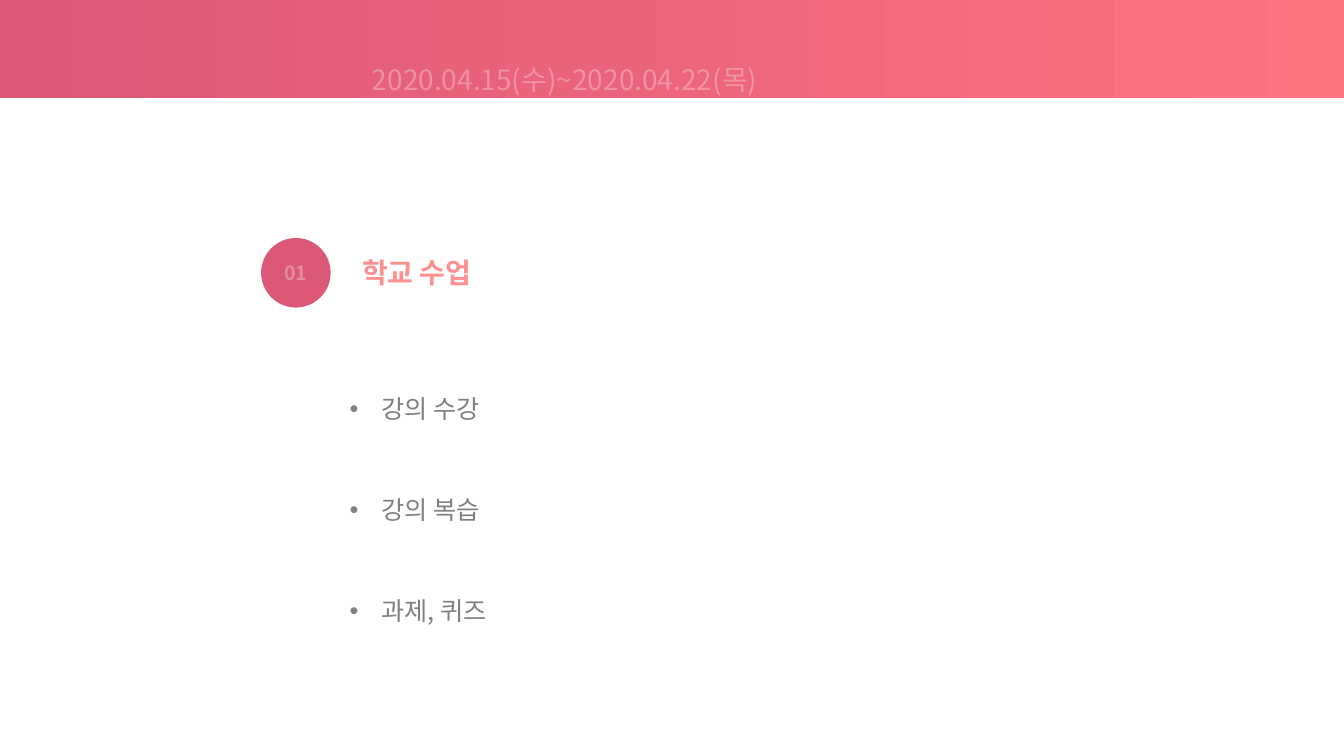
import pptx
import pptx.dml.color
import pptx.enum.shapes
import pptx.enum.text
import pptx.oxml
import pptx.oxml.ns
import pptx.util
from lxml import etree

Pt = pptx.util.Pt
ALIGN = pptx.enum.text.PP_ALIGN
ANCHOR = pptx.enum.text.MSO_ANCHOR
SHAPE = pptx.enum.shapes.MSO_SHAPE

FONT = "Noto Sans CJK KR"
ROSE = "DB5877"
WHITE = "FFFFFF"
GREY = "808080"
BAND_STOPS = [(0, ROSE), (43, "EA637C"), (100, "FE7282")]
HEADING_STOPS = [(0, "FF908F"), (63, ROSE)]
LINEAR = '<a:lin ang="0" scaled="1"/>'
CIRCULAR = '<a:path path="circle"><a:fillToRect r="100000" b="100000"/></a:path>'


def color(hex_string):
    return pptx.dml.color.RGBColor.from_string(hex_string)


def drawing_element(tag, content, attributes=""):
    namespace = pptx.oxml.ns.nsdecls("a")
    return pptx.oxml.parse_xml(f"<a:{tag} {namespace} {attributes}>{content}</a:{tag}>")


def solid_fill(hex_string, opacity):
    return (f'<a:solidFill><a:srgbClr val="{hex_string}">'
            f'<a:alpha val="{opacity * 1000}"/></a:srgbClr></a:solidFill>')


def replace_with_gradient(fill_owner, stops, direction):
    """Swap the solid fill of a shape or run for a gradient."""
    stop_list = "".join(f'<a:gs pos="{position * 1000}"><a:srgbClr val="{value}"/></a:gs>'
                        for position, value in stops)
    gradient = drawing_element("gradFill", f"<a:gsLst>{stop_list}</a:gsLst>{direction}")
    solid = fill_owner.find(pptx.oxml.ns.qn("a:solidFill"))
    fill_owner.replace(solid, gradient)


def write_text(paragraph, text, size, fill=WHITE, bold=False, align=None, spacing=None,
               opacity=100, outline=None, gradient=None):
    paragraph.alignment = align
    paragraph.line_spacing = spacing
    run = paragraph.add_run()
    run.text = text
    run.font.name = FONT
    run.font.size = Pt(size)
    run.font.bold = bold
    run.font.fill.solid()
    run.font.fill.fore_color.rgb = color(fill)
    properties = run.font._element
    if opacity < 100:
        solid_color = properties.find(".//" + pptx.oxml.ns.qn("a:srgbClr"))
        solid_color.append(drawing_element("alpha", "", f'val="{opacity * 1000}"'))
    if gradient:
        replace_with_gradient(properties, gradient, CIRCULAR)
    if outline:
        properties.insert(0, drawing_element("ln", solid_fill(outline, 30), 'w="9525"'))
    latin = properties.find(pptx.oxml.ns.qn("a:latin"))
    latin.addnext(drawing_element("ea", "", f'typeface="{FONT}"'))


def add_filled_shape(slide, kind, left, top, width, height, fill):
    shape = slide.shapes.add_shape(kind, Pt(left), Pt(top), Pt(width), Pt(height))
    shape.shadow.inherit = False
    shape.fill.solid()
    shape.fill.fore_color.rgb = color(fill)
    shape.line.fill.background()
    return shape


def add_header(slide, left, top, width, height):
    band = add_filled_shape(slide, SHAPE.RECTANGLE, left, top, width, height, ROSE)
    replace_with_gradient(band.element.spPr, BAND_STOPS, LINEAR)
    title = slide.shapes.title
    band.element.addnext(title.element)
    title.left, title.top = Pt(left + 258.5), Pt(top + 38)
    title.width, title.height = Pt(443.5), Pt(32.4)
    frame = title.text_frame
    frame.word_wrap = True
    frame.auto_size = pptx.enum.text.MSO_AUTO_SIZE.SHAPE_TO_FIT_TEXT
    frame.vertical_anchor = ANCHOR.TOP
    write_text(frame.paragraphs[0], "2020.04.15(수)~2020.04.22(목)", 20,
               align=ALIGN.JUSTIFY, spacing=1.2, opacity=30, outline=WHITE)


def add_section_heading(slide, left, top, diameter, number, text):
    badge = add_filled_shape(slide, SHAPE.OVAL, left, top, diameter, diameter, ROSE)
    badge.text_frame.vertical_anchor = ANCHOR.MIDDLE
    write_text(badge.text_frame.paragraphs[0], number, 14, bold=True,
               align=ALIGN.CENTER, opacity=30, outline=WHITE)
    heading = slide.shapes.add_textbox(Pt(left + 57), Pt(top + 8.6), Pt(108.5), Pt(31.5))
    heading.text_frame.word_wrap = True
    write_text(heading.text_frame.paragraphs[0], text, 20, bold=True,
               align=ALIGN.CENTER, outline=ROSE, gradient=HEADING_STOPS)


def add_task_list(slide, left, top, width, height, tasks):
    frame = slide.shapes.add_textbox(Pt(left), Pt(top), Pt(width), Pt(height)).text_frame
    frame.word_wrap = True
    frame.vertical_anchor = ANCHOR.BOTTOM
    frame.margin_bottom = Pt(29)
    for index, task in enumerate(tasks):
        paragraph = frame.add_paragraph() if index else frame.paragraphs[0]
        write_text(paragraph, task, 18, fill=GREY, spacing=1.2)
        if index:
            paragraph.space_before = Pt(46.2)
        properties = paragraph._p.get_or_add_pPr()
        properties.set("marL", str(Pt(22.5)))
        properties.set("indent", str(-Pt(22.5)))
        properties.append(drawing_element("buFont", "", 'typeface="Arial"'))
        properties.append(drawing_element("buChar", "", 'char="•"'))


def main():
    presentation = pptx.Presentation()
    presentation.slide_width, presentation.slide_height = Pt(960), Pt(540)
    slide = presentation.slides.add_slide(presentation.slide_layouts[5])
    add_header(slide, 0, -2, 960, 72)
    add_section_heading(slide, 186.5, 170, 49.7, "01", "학교 수업")
    add_task_list(slide, 242.6, 262.8, 211, 213, ["강의 수강", "강의 복습", "과제, 퀴즈"])
    presentation.save("out.pptx")


if __name__ == "__main__":
    main()
